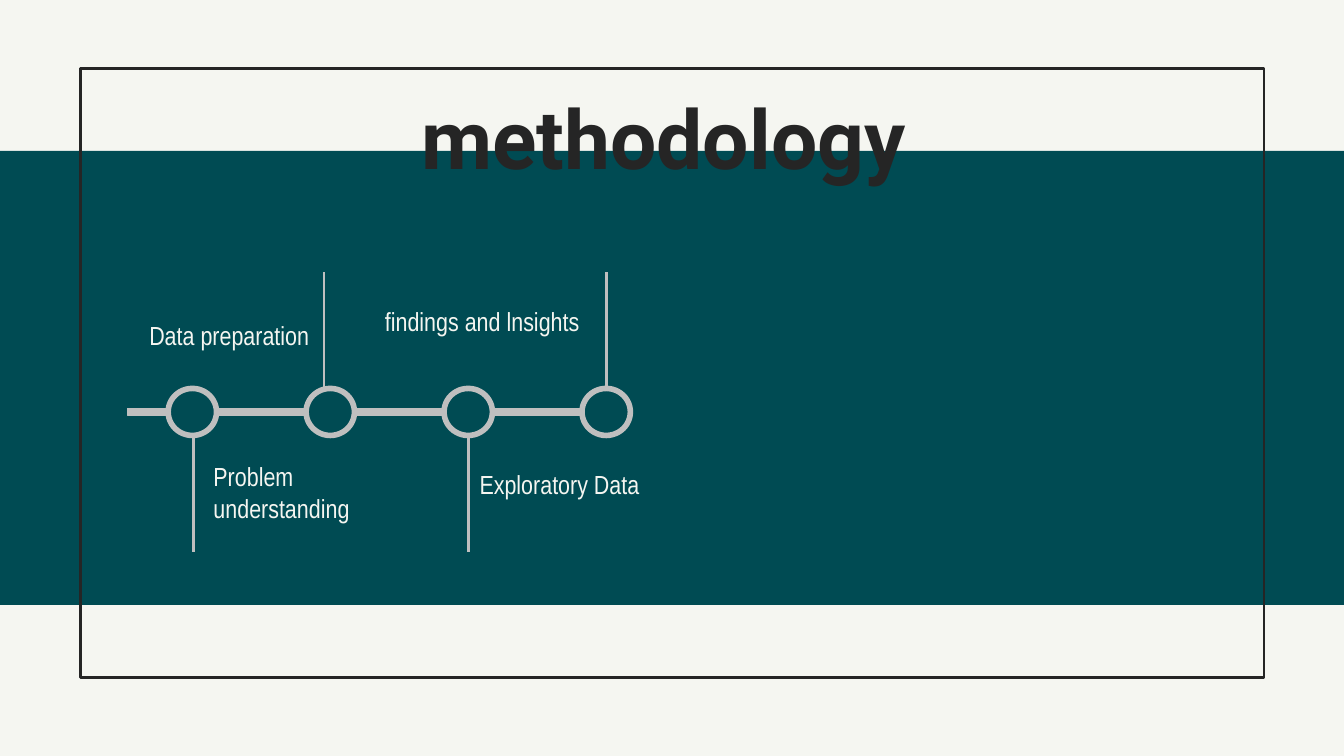
"""Build the methodology timeline slide."""
from typing import NamedTuple, Optional

from lxml.etree import SubElement
from pptx import Presentation
from pptx.dml.color import RGBColor
from pptx.enum.shapes import MSO_CONNECTOR as Connector, MSO_SHAPE as Preset
from pptx.enum.text import MSO_ANCHOR as Anchor, PP_ALIGN as Align
from pptx.oxml.ns import qn
from pptx.util import Pt

PAPER, TEAL, INK, SILVER = "F5F6F1", "004B53", "252525", "BFBFBF"
NODE_LEFT, NODE_TOP, NODE_STEP = 90.1, 208.1, 73.9
NODE_WIDTH, NODE_HEIGHT, STEM_LENGTH = 25.9, 25.2, 62.6
BAR_TOP, BAR_HEIGHT = 218.9, 3.6


class Box(NamedTuple):
    left: float
    top: float
    width: float
    height: float


class Step(NamedTuple):
    label: str
    area: Box
    above: bool
    stem_shift: float = 0
    right_inset: float = 7.2


STEPS = [
    Step("Problem understanding", Box(107.3, 247.7, 115.2, 31.7), False, 0.6),
    Step("Data preparation", Box(47.5, 170.6, 125.3, 18), True, -3.4),
    Step("Exploratory Data", Box(249.8, 252, 145.4, 15.1), False),
    Step("findings and lnsights", Box(190.1, 146.2, 131, 51.1), True, 0, 10.6),
]
BARS = [(68.4, 99.4), (172.8, 73.4), (242.6, 73.4)]


def color(value: str) -> RGBColor:
    return RGBColor.from_string(value)


def add_figure(slide, preset, box: Box, fill: Optional[str],
               line: Optional[str] = None, weight: float = 0) -> None:
    figure = slide.shapes.add_shape(preset, *map(Pt, box))
    figure.shadow.inherit = False
    if fill:
        figure.fill.solid()
        figure.fill.fore_color.rgb = color(fill)
    else:
        figure.fill.background()
    if line:
        figure.line.color.rgb = color(line)
        figure.line.width = Pt(weight)
    else:
        figure.line.fill.background()


def add_text(slide, box: Box, text: str, font: str, size: float, ink: str,
             align, anchor=Anchor.TOP, bold: bool = False,
             vertical_inset: float = 3.6, right_inset: float = 7.2) -> None:
    frame = slide.shapes.add_textbox(*map(Pt, box)).text_frame
    frame.word_wrap = True
    frame.vertical_anchor = anchor
    frame.margin_top = frame.margin_bottom = Pt(vertical_inset)
    frame.margin_left, frame.margin_right = Pt(7.2), Pt(right_inset)
    paragraph = frame.paragraphs[0]
    paragraph.text = text
    paragraph.alignment = align
    paragraph.font.name = font
    paragraph.font.size = Pt(size)
    paragraph.font.bold = bold
    paragraph.font.color.rgb = color(ink)


def add_step(slide, index: int, step: Step) -> None:
    add_text(slide, step.area, step.label, "Arial Narrow", 14, PAPER,
             Align.RIGHT if step.above else Align.LEFT, Anchor.MIDDLE,
             vertical_inset=7.2, right_inset=step.right_inset)
    x = NODE_LEFT + NODE_STEP * index + NODE_WIDTH / 2 + step.stem_shift
    near = NODE_TOP if step.above else NODE_TOP + NODE_HEIGHT
    far = near - STEM_LENGTH if step.above else near + STEM_LENGTH
    stem = slide.shapes.add_connector(Connector.STRAIGHT, Pt(x), Pt(near), Pt(x), Pt(far))
    stem.line.color.rgb = color(SILVER)
    stem.line.width = Pt(1.5)
    SubElement(stem._element.spPr, qn("a:effectLst"))


def main() -> None:
    deck = Presentation()
    deck.slide_width, deck.slide_height = Pt(720), Pt(405)
    slide = deck.slides.add_slide(deck.slide_layouts[6])
    slide.background.fill.solid()
    slide.background.fill.fore_color.rgb = color(PAPER)
    add_figure(slide, Preset.RECTANGLE, Box(0, 80.9, 720, 243.2), TEAL)
    add_figure(slide, Preset.RECTANGLE, Box(43.2, 36.7, 634, 326.4), None, INK, 1.5)
    add_text(slide, Box(155.5, 43.2, 400.3, 60.5), "methodology", "Roboto", 44, INK,
             Align.CENTER, bold=True)
    for index, step in enumerate(STEPS):
        add_step(slide, index, step)
    for left, width in BARS:
        add_figure(slide, Preset.RECTANGLE, Box(left, BAR_TOP, width, BAR_HEIGHT),
                   SILVER, SILVER, 0.75)
    for index in range(len(STEPS)):
        node = Box(NODE_LEFT + NODE_STEP * index, NODE_TOP, NODE_WIDTH, NODE_HEIGHT)
        add_figure(slide, Preset.OVAL, node, TEAL, SILVER, 3)
    deck.save("out.pptx")


if __name__ == "__main__":
    main()
